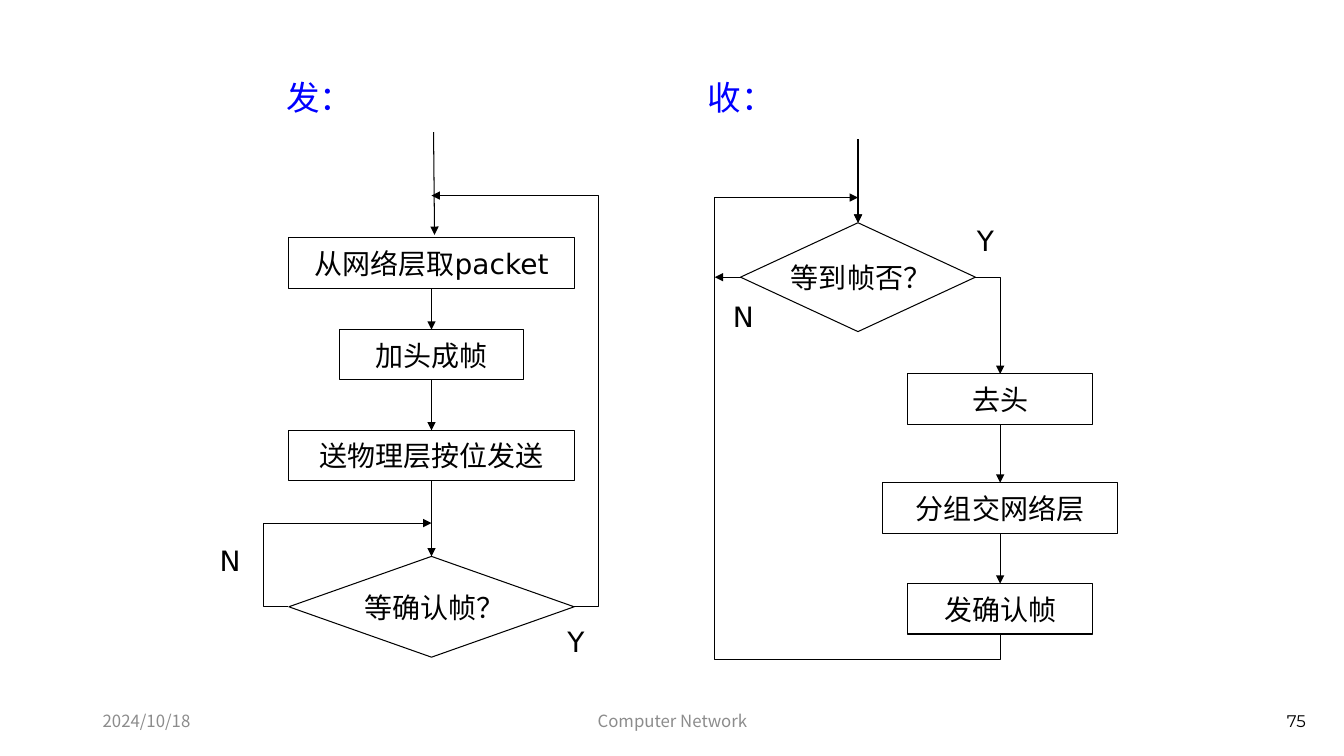
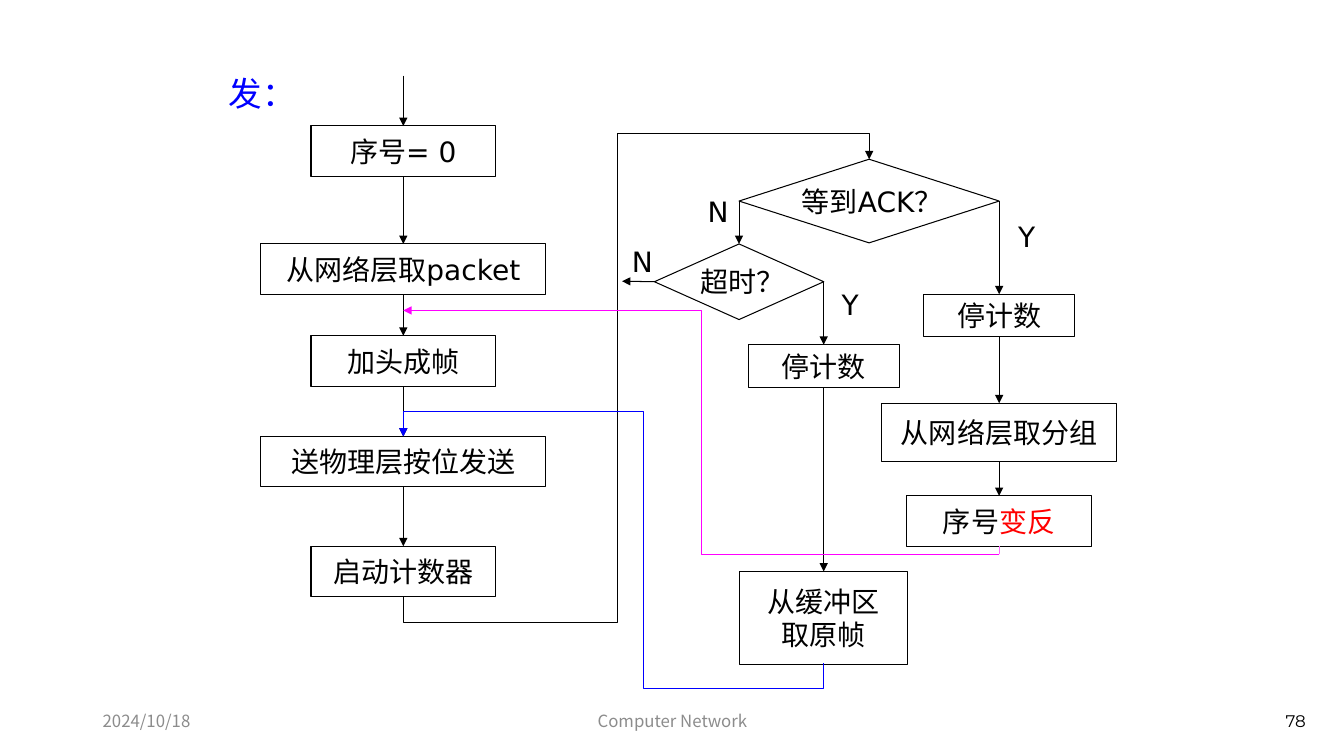
import pptx
import pptx.dml.color
import pptx.enum.shapes
import pptx.enum.text
import pptx.oxml
import pptx.oxml.ns
import pptx.util
from pptx.util import Inches

BLACK, GREY, RED = "000000", "8C8C8C", "FF0000"
BLUE, MAGENTA, PINK = "0000FF", "FF00FF", "FF66FF"
BODY_FONT, CJK_FONT, NUMBER_FONT = "DejaVu Sans", "Noto Sans CJK SC", "Montserrat"
TOP, LEFT, BOTTOM, RIGHT = range(4)

KIND = pptx.enum.shapes.MSO_SHAPE
CONNECTOR = pptx.enum.shapes.MSO_CONNECTOR
ALIGN = pptx.enum.text.PP_ALIGN
MIDDLE = pptx.enum.text.MSO_ANCHOR.MIDDLE


def rgb(colour):
    return pptx.dml.color.RGBColor.from_string(colour)


def add_xml(parent, tag, **attributes):
    child = pptx.oxml.parse_xml(f"<a:{tag} {pptx.oxml.ns.nsdecls('a')}/>")
    for name, value in attributes.items():
        child.set(name, str(value))
    parent.append(child)


def style_run(run, size, colour, font=BODY_FONT):
    run.font.size = pptx.util.Pt(size)
    run.font.color.rgb = rgb(colour)
    run.font.name = font
    add_xml(run.font._element, "ea", typeface=CJK_FONT)


def write(frame, text, size, colour, align=ALIGN.LEFT, font=BODY_FONT):
    frame.text = text
    for paragraph in frame.paragraphs:
        paragraph.alignment = align
        for run in paragraph.runs:
            style_run(run, size, colour, font)


def add_label(slide, left, top, text, size=20, colour=BLACK):
    """Free text that sizes itself: a heading, or Y/N beside a branch."""
    width, height = (0.87, 0.5) if size > 20 else (0.4, 0.43)
    frame = slide.shapes.add_textbox(
        Inches(left), Inches(top), Inches(width), Inches(height)).text_frame
    frame.word_wrap = False
    frame.auto_size = pptx.enum.text.MSO_AUTO_SIZE.SHAPE_TO_FIT_TEXT
    write(frame, text, size, colour)


def add_heading(slide, left, top, text):
    add_label(slide, left, top, text, 24, BLUE)


def add_footer(slide, number):
    for left, width, text, align, font, colour in (
            (0.92, 3, "2024/10/18", ALIGN.LEFT, CJK_FONT, GREY),
            (4.42, 4.5, "Computer Network", ALIGN.CENTER, CJK_FONT, GREY),
            (9.42, 3.63, str(number), ALIGN.RIGHT, NUMBER_FONT, BLACK)):
        frame = slide.shapes.add_textbox(
            Inches(left), Inches(6.95), Inches(width), Inches(0.4)).text_frame
        frame.word_wrap = True
        frame.vertical_anchor = MIDDLE
        write(frame, text, 12, colour, align, font)


def add_node(slide, centre, top, width, height, text, kind=KIND.FLOWCHART_PROCESS):
    node = slide.shapes.add_shape(
        kind, Inches(centre - width / 2), Inches(top), Inches(width), Inches(height))
    node.shadow.inherit = False
    node.fill.background()
    node.line.color.rgb = rgb(BLACK)
    node.line.width = pptx.util.Pt(0.75)
    node.text_frame.word_wrap = False
    node.text_frame.vertical_anchor = MIDDLE
    write(node.text_frame, text, 20, BLACK, ALIGN.CENTER)
    return node


def add_line(slide, start, end, colour=BLACK, weight=0.75, head=True,
             kind=CONNECTOR.STRAIGHT):
    ends = [Inches(value) for value in (*start, *end)]
    line = slide.shapes.add_connector(kind, *ends)
    line.line.color.rgb = rgb(colour)
    line.line.width = pptx.util.Pt(weight)
    if head:
        add_xml(line.line._get_or_add_ln(), "tailEnd", type="triangle")
    add_xml(line._element.spPr, "effectLst")
    return line


def join(slide, source, target, site=BOTTOM):
    """Arrow from a side of one node to the top of the next."""
    line = add_line(slide, (0, 0), (0, 0))
    line.begin_connect(source, site)
    line.end_connect(target, TOP)


def add_elbow(slide, points, colour=BLACK):
    """Arrow with right-angled bends through the given points."""
    (x0, y0), (x1, y1) = points[0], points[-1]
    dx, dy = x1 - x0, y1 - y0
    line = add_line(slide, points[0], points[-1], colour, kind=CONNECTOR.ELBOW)
    geometry = line._element.spPr.prstGeom
    geometry.set("prst", f"bentConnector{len(points) - 1}")

    vertical_start = points[0][0] == points[1][0]
    if vertical_start:
        width, height = abs(dy), abs(dx)
        line.left = Inches((x0 + x1 - width) / 2)
        line.top = Inches((y0 + y1 - height) / 2)
        line.width, line.height = Inches(width), Inches(height)
        line.rotation = 90 if dx > 0 else 270
        frame = line._element.spPr.xfrm
        frame.set("flipH", str(int((dx > 0) == (dy < 0))))
        frame.set("flipV", "1")

    for index, (x, y) in enumerate(points[1:-2], 1):
        across = (index % 2 == 1) != vertical_start
        share = (x - x0) / dx if across else (y - y0) / dy
        add_xml(geometry.get_or_add_avLst(), "gd", name=f"adj{index}",
                fmla=f"val {round(share * 100000)}")


def build_simple_protocol(slide):
    add_heading(slide, 2.74, 0.71, "发：")
    add_heading(slide, 6.92, 0.71, "收：")

    sender = 4.28
    fetch = add_node(slide, sender, 2.36, 2.83, 0.5, "从网络层取packet")
    frame = add_node(slide, sender, 3.27, 1.83, 0.5, "加头成帧")
    send = add_node(slide, sender, 4.27, 2.83, 0.5, "送物理层按位发送")
    confirmed = add_node(slide, sender, 5.52, 2.83, 1, " 等确认帧？", KIND.DIAMOND)
    steps = [fetch, frame, send, confirmed]
    for upper, lower in zip(steps, steps[1:]):
        join(slide, upper, lower)
    add_line(slide, (4.3, 1.31), (4.31, 2.33))
    add_elbow(slide, [(2.86, 6.02), (2.61, 6.02), (2.61, 5.19), (sender, 5.19)])
    add_elbow(slide, [(5.69, 6.02), (5.94, 6.02), (5.94, 1.94), (sender, 1.94)])
    add_label(slide, 2.08, 5.34, "N")
    add_label(slide, 5.53, 6.15, "Y")

    waiting, receiver = 8.51, 9.92
    arrived = add_node(slide, waiting, 2.21, 2.33, 1.08, " 等到帧否？",
                       KIND.FLOWCHART_DECISION)
    strip = add_node(slide, receiver, 3.71, 1.83, 0.5, "去头")
    deliver = add_node(slide, receiver, 4.79, 2.33, 0.5, "分组交网络层")
    confirm = add_node(slide, receiver, 5.79, 1.83, 0.5, "发确认帧")
    join(slide, strip, deliver)
    join(slide, deliver, confirm)
    add_line(slide, (waiting, 1.38), (waiting, 2.21)).end_connect(arrived, TOP)
    add_line(slide, (7.34, 2.75), (7.09, 2.75)).begin_connect(arrived, LEFT)
    add_line(slide, (7.87, 1.96), (waiting, 1.96), weight=0.25)
    add_elbow(slide, [(9.67, 2.75), (receiver, 2.75), (receiver, 3.71)])
    add_elbow(slide, [(receiver, 6.29), (receiver, 6.54), (7.09, 6.54),
                      (7.09, 1.96), (waiting, 1.96), (waiting, 2.21)])
    add_label(slide, 9.59, 2.17, "Y")
    add_label(slide, 7.17, 2.92, "N")


def build_numbered_sender(slide):
    add_heading(slide, 2.17, 0.67, "发：")

    sender = 4
    start = add_node(slide, sender, 1.25, 1.83, 0.5, "序号= 0")
    fetch = add_node(slide, sender, 2.42, 2.83, 0.5, "从网络层取packet")
    frame = add_node(slide, sender, 3.33, 1.83, 0.5, "加头成帧")
    send = add_node(slide, sender, 4.33, 2.83, 0.5, "送物理层按位发送")
    timer = add_node(slide, sender, 5.42, 1.83, 0.5, "启动计数器")

    waiting, retry, success = 8.62, 8.17, 9.91
    acked = add_node(slide, waiting, 1.58, 2.58, 0.83, " 等到ACK？", KIND.DIAMOND)
    expired = add_node(slide, 7.33, 2.42, 1.68, 0.75, " 超时？", KIND.DIAMOND)
    stop_retry = add_node(slide, retry, 3.42, 1.5, 0.42, "停计数")
    buffered = add_node(slide, retry, 5.67, 1.67, 0.92, "从缓冲区\n取原帧")
    stop_success = add_node(slide, success, 2.92, 1.5, 0.42, "停计数")
    next_packet = add_node(slide, success, 4, 2.33, 0.58, "从网络层取分组")
    flip = add_node(slide, success, 4.92, 1.83, 0.5, "序号")
    flipped = flip.text_frame.paragraphs[0].add_run()
    flipped.text = "变反"
    style_run(flipped, 20, RED)

    for steps in ([start, fetch, frame, send, timer], [stop_retry, buffered],
                  [stop_success, next_packet, flip]):
        for upper, lower in zip(steps, steps[1:]):
            join(slide, upper, lower)
    join(slide, acked, expired, LEFT)
    join(slide, acked, stop_success, RIGHT)
    join(slide, expired, stop_retry, RIGHT)
    add_line(slide, (sender, 0.75), (sender, 1.25)).end_connect(start, TOP)
    add_line(slide, (6.49, 2.79), (6.17, 2.79)).begin_connect(expired, LEFT)

    add_elbow(slide, [(sender, 5.92), (sender, 6.17), (6.12, 6.17),
                      (6.12, 1.33), (waiting, 1.33), (waiting, 1.58)])
    add_elbow(slide, [(retry, 6.58), (retry, 6.83), (6.38, 6.83),
                      (6.38, 4.08), (sender, 4.08), (sender, 4.33)], BLUE)
    add_elbow(slide, [(success, 5.5), (6.96, 5.5), (6.96, 3.08), (sender, 3.08)],
              MAGENTA)
    add_line(slide, (success, 5.5), (success, 5.42), PINK,
             head=False).end_connect(flip, BOTTOM)

    for left, top, answer in ((6.92, 1.88, "N"), (10, 2.13, "Y"),
                              (6.17, 2.38, "N"), (8.25, 2.8, "Y")):
        add_label(slide, left, top, answer)


def main():
    deck = pptx.Presentation()
    deck.slide_width, deck.slide_height = Inches(13.33), Inches(7.5)
    blank = deck.slide_layouts[6]
    for number, build in ((75, build_simple_protocol), (78, build_numbered_sender)):
        slide = deck.slides.add_slide(blank)
        add_footer(slide, number)
        build(slide)
    deck.save("out.pptx")


if __name__ == "__main__":
    main()
